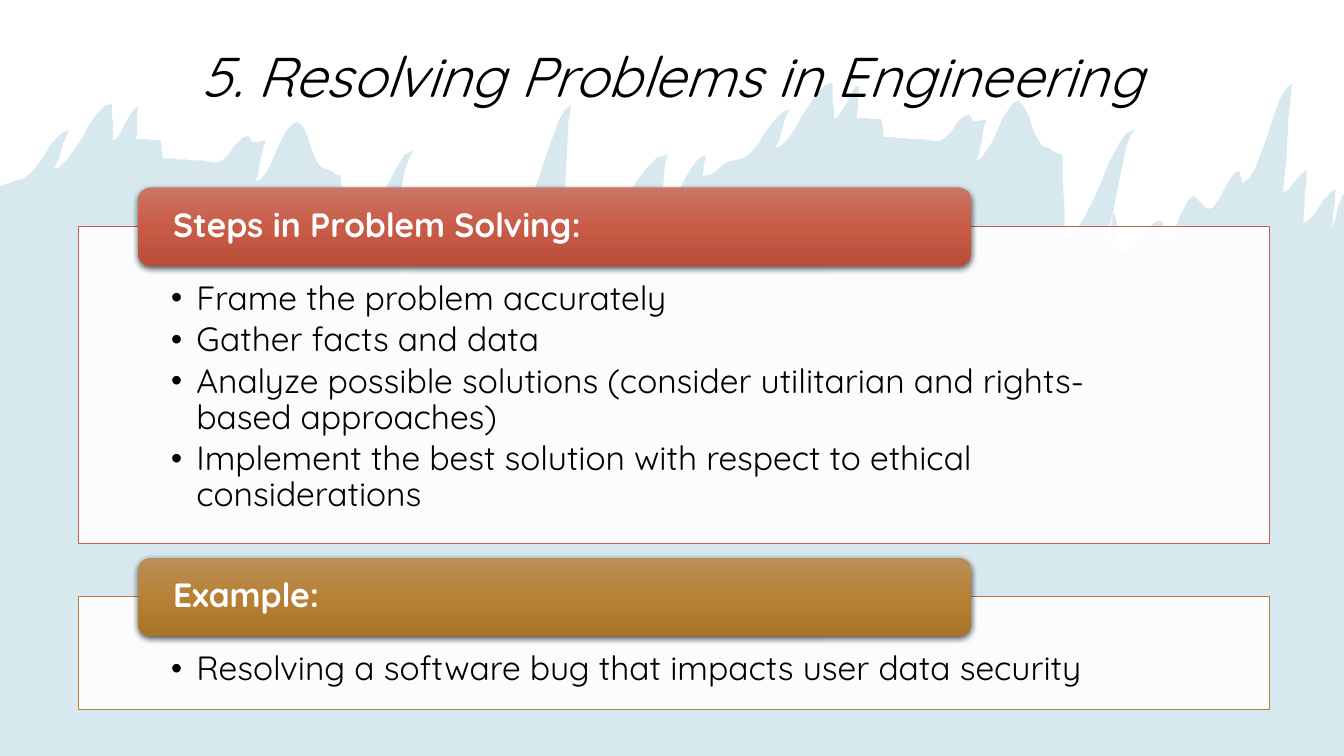
from itertools import pairwise
from math import cos, pi

from lxml.etree import SubElement
from pptx import Presentation
from pptx.dml.color import RGBColor
from pptx.enum.shapes import MSO_SHAPE
from pptx.enum.text import MSO_ANCHOR, PP_ALIGN
from pptx.oxml.ns import qn
from pptx.util import Cm, Pt

FONT = "Quicksand"
WHITE = RGBColor(0xFF, 0xFF, 0xFF)
BLACK = RGBColor(0, 0, 0)
ICE = RGBColor(0x3B, 0x94, 0xB1)
RED = RGBColor(0xC3, 0x60, 0x4D)
RED_SHADES = (RGBColor(0xCA, 0x75, 0x67), RGBColor(0xC9, 0x5C, 0x47), RGBColor(0xB9, 0x4D, 0x39))
OCHRE = RGBColor(0xB1, 0x80, 0x3B)
OCHRE_SHADES = (RGBColor(0xBC, 0x8F, 0x5A), RGBColor(0xB7, 0x81, 0x35), RGBColor(0xA8, 0x74, 0x2A))

SKYLINE_WIDTH, SKYLINE_HEIGHT = 1333, 750
SLOPE_STEPS = 8
RANGE_START = (732, 158)
RANGE_SHIFT, RANGE_DROP = -715, 21
TIPS_AND_HOLLOWS = [
    ((785, 108), (767, 147)), ((826, 82), (827, 118)), ((852, 85), (850, 117)),
    ((874, 118), (877, 136)), ((912, 138), (930, 140)), ((961, 114), (966, 120)),
    ((979, 119), (968, 159)), ((1010, 100), (1036, 146)), ((1053, 153), (1057, 234)),
    ((1126, 128), (1091, 250)), ((1105, 212), (1112, 252)), ((1151, 219), (1158, 235)),
    ((1183, 195), (1199, 207)), ((1229, 170), (1233, 181)), ((1282, 83), (1272, 191)),
    ((1297, 169), (1292, 221)), ((1326, 188), (1320, 226)),
]
PASS_BETWEEN_RANGES = [(663, 153), (653, 210), (701, 154), (696, 175)]

STEPS = [
    "Frame the problem accurately",
    "Gather facts and data",
    "Analyze possible solutions (consider utilitarian and rights-based approaches)",
    "Implement the best solution with respect to ethical considerations",
]
EXAMPLES = ["Resolving a software bug that impacts user data security"]
SECTIONS = [
    ("Steps in Problem Solving:", STEPS, RED, RED_SHADES, Cm(5.71), Cm(7.98)),
    ("Example:", EXAMPLES, OCHRE, OCHRE_SHADES, Cm(15.04), Cm(2.84)),
]


def fill_solid(shape, color, opacity):
    shape.fill.solid()
    shape.fill.fore_color.rgb = color
    tint = shape.element.spPr.find(qn("a:solidFill")).find(qn("a:srgbClr"))
    SubElement(tint, qn("a:alpha"), val=str(opacity * 1000))


def fill_shades(shape, shades):
    shape.fill.gradient()
    shape.fill.gradient_angle = 270
    stops = shape.element.spPr.find(".//" + qn("a:gsLst"))
    for stop in list(stops):
        stops.remove(stop)
    for position, shade in zip((0, 50, 100), shades):
        stop = SubElement(stops, qn("a:gs"), pos=str(position * 1000))
        SubElement(stop, qn("a:srgbClr"), val=str(shade))


def drop_shadow(shape):
    shape.shadow.inherit = False
    effects = shape.element.spPr.find(qn("a:effectLst"))
    shadow = SubElement(effects, qn("a:outerShdw"), blurRad=str(Pt(4.5)), dist=str(Pt(1.5)),
                        dir="5400000", algn="ctr", rotWithShape="0")
    black = SubElement(shadow, qn("a:srgbClr"), val=str(BLACK))
    SubElement(black, qn("a:alpha"), val="63000")


def add_text(paragraph, words, size, color, bold=False, italic=False):
    run = paragraph.add_run()
    run.text = words
    run.font.name = FONT
    run.font.size = Pt(size)
    run.font.color.rgb = color
    run.font.bold = bold
    run.font.italic = italic
    paragraph.line_spacing = 0.9


def add_bullet(paragraph, indent):
    properties = paragraph._p.get_or_add_pPr()
    properties.set("marL", str(indent))
    properties.set("indent", str(-indent))
    SubElement(properties, qn("a:buFont"), typeface=FONT)
    SubElement(properties, qn("a:buChar"), char="•")


def set_insets(frame, side, top, bottom):
    frame.word_wrap = True
    frame.margin_left = frame.margin_right = side
    frame.margin_top, frame.margin_bottom = top, bottom


def slope(start, end):
    for step in range(1, SLOPE_STEPS + 1):
        along = step / SLOPE_STEPS
        eased = (1 - cos(pi * along)) / 2
        yield (start[0] + (end[0] - start[0]) * along,
               start[1] + (end[1] - start[1]) * eased)


def skyline_turns():
    right_range = [RANGE_START]
    for tip, hollow in TIPS_AND_HOLLOWS:
        right_range += [tip, hollow]
    left_range = [(x + RANGE_SHIFT, y + RANGE_DROP) for x, y in right_range[:-2]]
    return [(0, 184), *left_range, *PASS_BETWEEN_RANGES, *right_range, (SKYLINE_WIDTH, 193)]


def add_skyline(slide, left, top, width):
    turns = skyline_turns()
    builder = slide.shapes.build_freeform(*turns[0], scale=width / SKYLINE_WIDTH)
    for start, end in pairwise(turns):
        builder.add_line_segments(slope(start, end), close=False)
    builder.add_line_segments([(SKYLINE_WIDTH, SKYLINE_HEIGHT), (0, SKYLINE_HEIGHT)], close=True)
    skyline = builder.convert_to_shape(left, top)
    fill_solid(skyline, ICE, 20)
    skyline.line.fill.background()
    skyline.shadow.inherit = False
    slide.shapes.title.element.addprevious(skyline.element)


def add_title(slide, left, top, width, height):
    title = slide.shapes.title
    title.left, title.top, title.width, title.height = left, top, width, height
    title.text_frame.vertical_anchor = MSO_ANCHOR.MIDDLE
    title.text_frame.word_wrap = True
    heading = title.text_frame.paragraphs[0]
    heading.alignment = PP_ALIGN.CENTER
    add_text(heading, "5. Resolving Problems in Engineering", 40, BLACK, italic=True)


def add_panel(slide, left, top, width, height, points, edge):
    panel = slide.shapes.add_shape(MSO_SHAPE.RECTANGLE, left, top, width, height)
    fill_solid(panel, WHITE, 90)
    panel.line.color.rgb = edge
    panel.line.width = Pt(0.5)
    panel.shadow.inherit = False
    frame = panel.text_frame
    frame.vertical_anchor = MSO_ANCHOR.TOP
    set_insets(frame, Cm(2.33), Cm(1.38), Cm(0.48))
    for index, point in enumerate(points):
        item = frame.add_paragraph() if index else frame.paragraphs[0]
        item.alignment = PP_ALIGN.LEFT
        item.level = 1
        item.space_after = Pt(3.6)
        add_text(item, point, 24, BLACK)
        add_bullet(item, Cm(0.64))


def add_banner(slide, left, top, width, height, heading, shades):
    banner = slide.shapes.add_shape(MSO_SHAPE.ROUNDED_RECTANGLE, left, top, width, height)
    fill_shades(banner, shades)
    banner.line.fill.background()
    drop_shadow(banner)
    banner.text_frame.vertical_anchor = MSO_ANCHOR.MIDDLE
    set_insets(banner.text_frame, Cm(0.79), 0, 0)
    label = banner.text_frame.paragraphs[0]
    label.alignment = PP_ALIGN.LEFT
    add_text(label, heading, 24, WHITE, bold=True)


def add_section(slide, left, top, width, height, heading, points, edge, shades):
    add_panel(slide, left, top, width, height, points, edge)
    banner_height = Cm(1.97)
    add_banner(slide, left + width // 20, top - banner_height // 2,
               width * 7 // 10, banner_height, heading, shades)


def main():
    deck = Presentation()
    deck.slide_width, deck.slide_height = Cm(33.87), Cm(19.05)
    slide = deck.slides.add_slide(deck.slide_layouts[5])
    slide.background.fill.solid()
    slide.background.fill.fore_color.rgb = WHITE
    add_skyline(slide, 0, 0, deck.slide_width)
    add_title(slide, Cm(2.33), Cm(0.46), Cm(29.21), Cm(3.07))
    for heading, points, edge, shades, top, height in SECTIONS:
        add_section(slide, Cm(1.98), top, Cm(30), height, heading, points, edge, shades)
    deck.save("out.pptx")


if __name__ == "__main__":
    main()
